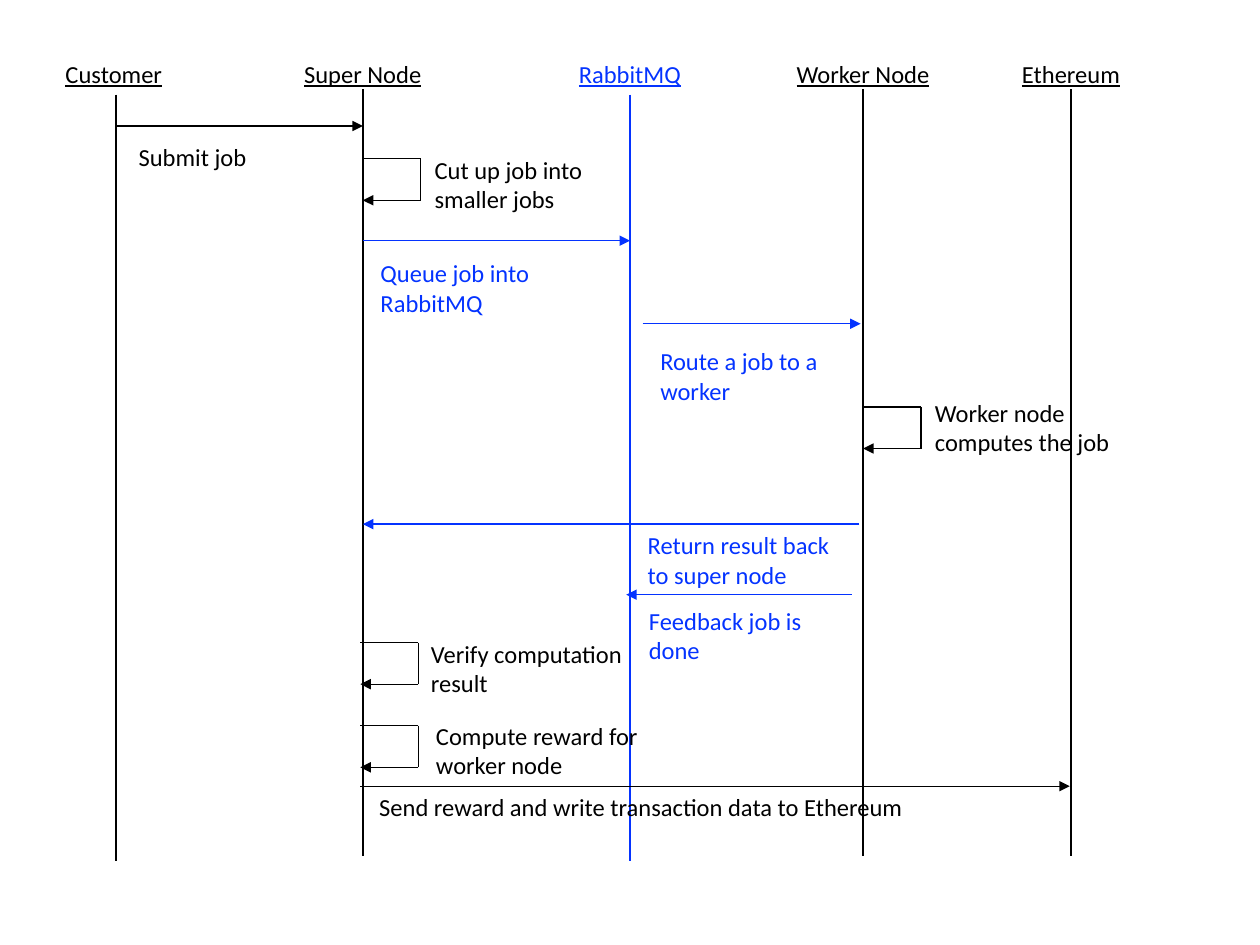
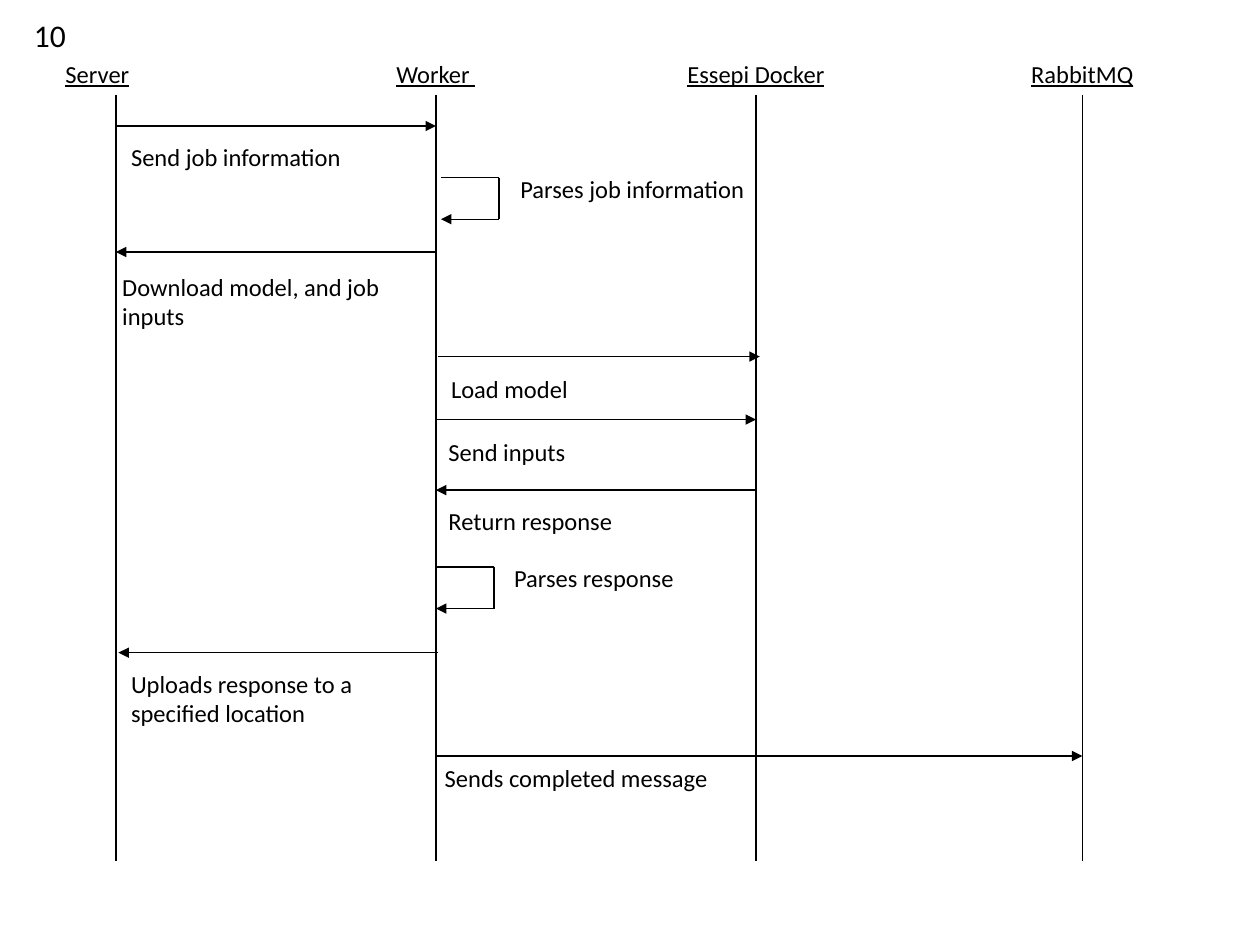
from dataclasses import dataclass

import lxml.etree
import pptx
import pptx.dml.color
import pptx.enum.shapes
import pptx.enum.text
import pptx.oxml.ns
import pptx.shapes.connector
import pptx.slide
import pptx.util

Inches = pptx.util.Inches
Align = pptx.enum.text.PP_ALIGN

BLACK = "000000"
BLUE = "0433FF"
FONT = "Calibri"
INSET = 0.05
HEADER_TOP = 0.42
LIFELINE_LENGTH = 6.08
LOOP_WIDTH = 0.46
LOOP_HEIGHT = 0.33
LINE_HEIGHT = 0.25


@dataclass(frozen=True)
class Caption:
    text: str
    left: float
    top: float
    width: float
    lines: int = 1


@dataclass(frozen=True)
class Participant:
    name: str
    x: float
    top: float = 0.75
    width: float = 1.73
    align: Align = Align.CENTER
    color: str = BLACK


@dataclass(frozen=True)
class Message:
    sender: float
    receiver: float
    y: float
    caption: Caption
    color: str = BLACK


@dataclass(frozen=True)
class SelfCall:
    x: float
    y: float
    caption: Caption


def rgb(color: str) -> pptx.dml.color.RGBColor:
    return pptx.dml.color.RGBColor.from_string(color)


def add_caption(slide: pptx.slide.Slide, caption: Caption, color: str = BLACK,
                size: float = 14, underline: bool = False,
                align: Align = Align.LEFT, wrap: bool = True) -> None:
    height = 2 * INSET + 0.21 * size / 14 + LINE_HEIGHT * (caption.lines - 1)
    box = slide.shapes.add_textbox(Inches(caption.left), Inches(caption.top),
                                   Inches(caption.width), Inches(height))
    frame = box.text_frame
    frame.word_wrap = wrap
    frame.auto_size = pptx.enum.text.MSO_AUTO_SIZE.SHAPE_TO_FIT_TEXT
    frame.margin_left = frame.margin_right = Inches(INSET)
    frame.margin_top = frame.margin_bottom = Inches(INSET)
    paragraph = frame.paragraphs[0]
    paragraph.alignment = align
    run = paragraph.add_run()
    run.text = caption.text
    run.font.name = FONT
    run.font.size = pptx.util.Pt(size)
    run.font.underline = underline or None
    run.font.color.rgb = rgb(color)


def add_line(shapes, start: tuple[float, float], end: tuple[float, float],
             color: str = BLACK, arrow: bool = False) -> None:
    line: pptx.shapes.connector.Connector = shapes.add_connector(
        pptx.enum.shapes.MSO_CONNECTOR.STRAIGHT,
        *(Inches(value) for value in (*start, *end)))
    line.line.color.rgb = rgb(color)
    line.line.width = pptx.util.Pt(0.75)
    if arrow:
        lxml.etree.SubElement(line.line._get_or_add_ln(),
                              pptx.oxml.ns.qn("a:tailEnd"), type="triangle")
    lxml.etree.SubElement(line._element.spPr, pptx.oxml.ns.qn("a:effectLst"))


def add_participant(slide: pptx.slide.Slide, participant: Participant) -> None:
    x, top = participant.x, participant.top
    header = Caption(participant.name, x - participant.width / 2,
                     HEADER_TOP, participant.width)
    add_caption(slide, header, participant.color, underline=True,
                align=participant.align)
    add_line(slide.shapes, (x, top), (x, top + LIFELINE_LENGTH), participant.color)


def add_message(slide: pptx.slide.Slide, message: Message) -> None:
    add_line(slide.shapes, (message.sender, message.y),
             (message.receiver, message.y), message.color, arrow=True)
    add_caption(slide, message.caption, message.color)


def add_self_call(slide: pptx.slide.Slide, call: SelfCall) -> None:
    right, bottom = call.x + LOOP_WIDTH, call.y + LOOP_HEIGHT
    corners = [(call.x, call.y), (right, call.y), (right, bottom), (call.x, bottom)]
    loop = slide.shapes.add_group_shape()
    for start, end in zip(corners, corners[1:]):
        add_line(loop.shapes, start, end, arrow=end == corners[-1])
    add_caption(slide, call.caption)


def add_sequence(deck, participants: list[Participant],
                 steps: list[Message | SelfCall]) -> pptx.slide.Slide:
    slide = deck.slides.add_slide(deck.slide_layouts[6])
    for participant in participants:
        add_participant(slide, participant)
    for step in steps:
        if isinstance(step, Message):
            add_message(slide, step)
        else:
            add_self_call(slide, step)
    return slide


CUSTOMER, SUPER_NODE, QUEUE, WORKER_NODE, CHAIN = 0.92, 2.88, 5, 6.85, 8.5
JOB_PARTICIPANTS = [
    Participant("Customer", CUSTOMER, width=0.9, align=Align.LEFT),
    Participant("Super Node", SUPER_NODE, top=0.71),
    Participant("RabbitMQ", QUEUE, color=BLUE),
    Participant("Worker Node", WORKER_NODE, top=0.71),
    Participant("Ethereum", CHAIN, top=0.71),
]
JOB_STEPS = [
    Message(CUSTOMER, SUPER_NODE, 1, Caption("Submit job", 1.05, 1.08, 2.23)),
    SelfCall(SUPER_NODE, 1.26,
             Caption("Cut up job into smaller jobs", 3.4, 1.18, 1.36, 2)),
    Message(SUPER_NODE, QUEUE, 1.91,
            Caption("Queue job into RabbitMQ", 2.97, 2, 1.36, 2), BLUE),
    Message(5.1, 6.83, 2.57,
            Caption("Route a job to a worker", 5.19, 2.7, 1.42, 2), BLUE),
    SelfCall(WORKER_NODE, 3.23,
             Caption("Worker node computes the job", 7.37, 3.11, 1.57, 2)),
    Message(6.82, SUPER_NODE, 4.16,
            Caption("Return result back to super node", 5.09, 4.16, 1.57, 2), BLUE),
    Message(6.76, 4.97, 4.72,
            Caption("Feedback job is done", 5.1, 4.76, 1.57, 2), BLUE),
    SelfCall(2.86, 5.1,
             Caption("Verify computation result", 3.37, 5.02, 1.78, 2)),
    SelfCall(2.86, 5.76,
             Caption("Compute reward for worker node", 3.41, 5.67, 1.78, 2)),
    Message(2.86, 8.49, 6.24,
            Caption("Send reward and write transaction data to Ethereum",
                    2.96, 6.24, 4.9)),
]

SERVER, WORKER, DOCKER, BROKER = 0.92, 3.46, 6, 8.59
WORKER_PARTICIPANTS = [
    Participant("Server", SERVER, width=0.9, align=Align.LEFT),
    Participant("Worker ", WORKER),
    Participant("Essepi Docker", DOCKER),
    Participant("RabbitMQ", BROKER),
]
WORKER_STEPS = [
    Message(SERVER, WORKER, 1, Caption("Send job information", 0.99, 1.08, 2.44)),
    SelfCall(3.5, 1.41, Caption("Parses job information", 4.08, 1.33, 1.94)),
    Message(WORKER, SERVER, 2,
            Caption("Download model, and job inputs", 0.92, 2.11, 2.4, 2)),
    Message(3.48, 6.03, 2.83, Caption("Load model", 3.53, 2.92, 2.44)),
    Message(WORKER, DOCKER, 3.33, Caption("Send inputs", 3.51, 3.42, 2.44)),
    Message(DOCKER, WORKER, 3.89, Caption("Return response", 3.51, 3.97, 2.4)),
    SelfCall(WORKER, 4.5, Caption("Parses response", 4.03, 4.42, 1.94)),
    Message(3.48, 0.94, 5.18,
            Caption("Uploads response to a specified location",
                    0.99, 5.26, 2.4, 2)),
    Message(WORKER, BROKER, 6, Caption("Sends completed message", 3.48, 6.01, 2.4)),
]


def main() -> None:
    deck = pptx.Presentation()
    deck.slide_width, deck.slide_height = Inches(10), Inches(7.5)
    add_sequence(deck, JOB_PARTICIPANTS, JOB_STEPS)
    worker_slide = add_sequence(deck, WORKER_PARTICIPANTS, WORKER_STEPS)
    add_caption(worker_slide, Caption("10", 0.22, 0.08, 0.37), size=18, wrap=False)
    deck.save("out.pptx")


if __name__ == "__main__":
    main()
